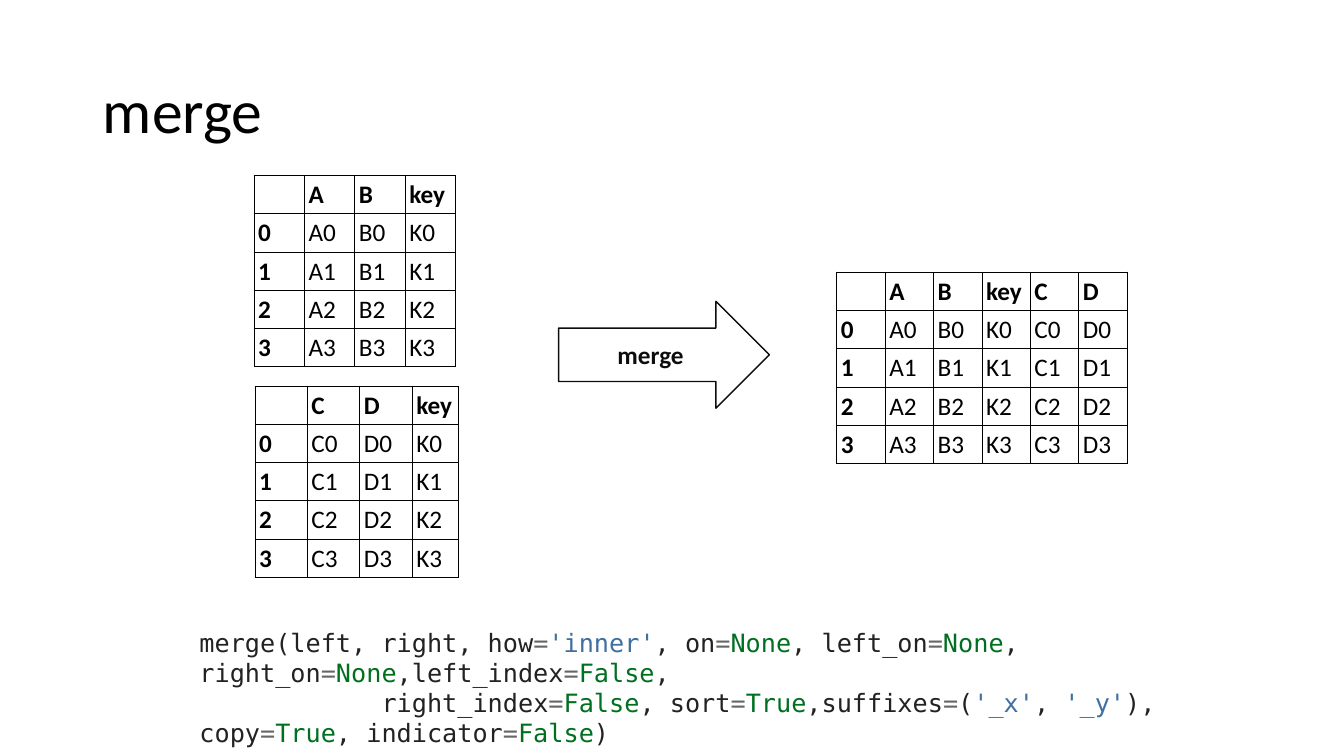
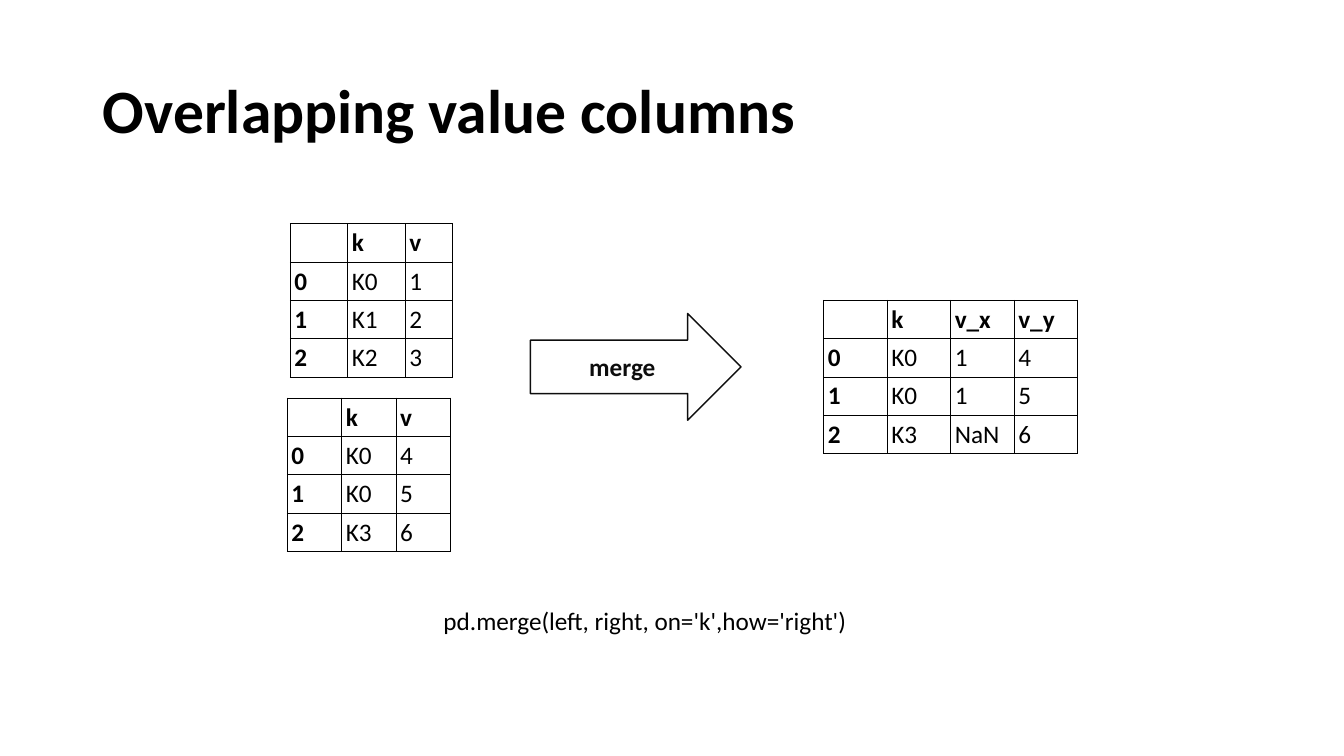
from itertools import groupby

from lxml import etree
from pptx import Presentation
from pptx.dml.color import RGBColor
from pptx.enum.shapes import MSO_SHAPE as Shape
from pptx.enum.text import MSO_ANCHOR as Anchor
from pptx.enum.text import MSO_AUTO_SIZE as AutoSize
from pptx.enum.text import PP_ALIGN as Align
from pptx.oxml.ns import qn
from pptx.util import Inches, Pt

BLACK, WHITE, INK = "000000", "FFFFFF", "0D0D0D"
CODE_PLAIN, CODE_OPERATOR = "222222", "666666"
CODE_STRING, CODE_CONSTANT = "4070A0", "007020"
TEXT_FONT, CODE_FONT = "Calibri", "DejaVu Sans Mono"
TITLE_SIZE, TEXT_SIZE = 44, 18
ROW_HEIGHT, CELL_MARGIN, BORDER_WIDTH = 0.38, 0.04, 0.75


def rgb(color):
    return RGBColor.from_string(color)


def character_class(char):
    if char == "=":
        return "operator"
    return "word" if char.isalnum() or char in "_'" else "punctuation"


def code_color(token):
    if token == "=":
        return CODE_OPERATOR
    if token.startswith("'"):
        return CODE_STRING
    return CODE_CONSTANT if token in ("None", "True", "False") else CODE_PLAIN


def colored_spans(line):
    """Yield neighbouring tokens of one colour as (text, colour)."""
    tokens = ["".join(chars) for _, chars in groupby(line, character_class)]
    for color, group in groupby(tokens, code_color):
        yield "".join(group), color


def numbered(columns):
    """Rows of values such as A0, B0, K0 under the given headings."""
    return [[f"{name[0].upper()}{row}" for name in columns] for row in range(4)]


class SlideBuilder:
    def __init__(self, deck):
        self.deck = deck
        self.slide = None

    def style(self, span, size=TEXT_SIZE, color=BLACK, bold=False, font=TEXT_FONT):
        span.font.name = font
        span.font.size = Pt(size)
        span.font.bold = bold
        span.font.color.rgb = rgb(color)

    def page(self, title, bold=False):
        self.slide = self.deck.slides.add_slide(self.deck.slide_layouts[5])
        box = self.slide.shapes.title
        box.left, box.top = Inches(0.92), Inches(0.4)
        box.width, box.height = Inches(11.5), Inches(1.45)
        frame = box.text_frame
        frame.text = title
        frame.auto_size = AutoSize.NONE
        frame.vertical_anchor = Anchor.MIDDLE
        para = frame.paragraphs[0]
        para.alignment = Align.LEFT
        para.line_spacing = 0.9
        self.style(para.runs[0], TITLE_SIZE, bold=bold)

    def text_box(self, left, top, width, height, wrap):
        box = self.slide.shapes.add_textbox(
            Inches(left), Inches(top), Inches(width), Inches(height))
        box.text_frame.word_wrap = wrap
        box.text_frame.auto_size = AutoSize.SHAPE_TO_FIT_TEXT
        return box.text_frame

    def caption(self, text, left, top, width, height):
        frame = self.text_box(left, top, width, height, wrap=False)
        frame.text = text
        self.style(frame.paragraphs[0].runs[0])

    def code(self, text, left, top, width, height):
        frame = self.text_box(left, top, width, height, wrap=True)
        frame.text = text
        for para, line in zip(frame.paragraphs, text.split("\n")):
            para.clear()
            for piece, color in colored_spans(line):
                span = para.add_run()
                span.text = piece
                self.style(span, color=color, font=CODE_FONT)

    def arrow(self, text, left, top):
        arrow = self.slide.shapes.add_shape(
            Shape.RIGHT_ARROW, Inches(left), Inches(top), Inches(2.09), Inches(1.06))
        arrow.shadow.inherit = False
        arrow.fill.solid()
        arrow.fill.fore_color.rgb = rgb(WHITE)
        arrow.line.color.rgb = rgb(INK)
        arrow.line.width = Pt(1)
        frame = arrow.text_frame
        frame.text = text
        frame.vertical_anchor = Anchor.MIDDLE
        frame.paragraphs[0].alignment = Align.CENTER
        self.style(frame.paragraphs[0].runs[0], color=INK, bold=True)

    def borders(self, cell):
        properties = cell._tc.get_or_add_tcPr()
        for side in ("lnL", "lnR", "lnT", "lnB"):
            line = etree.SubElement(
                properties, qn(f"a:{side}"), w=str(Pt(BORDER_WIDTH)))
            fill = etree.SubElement(line, qn("a:solidFill"))
            etree.SubElement(fill, qn("a:srgbClr"), val=BLACK)

    def data_frame(self, columns, rows, left, top, widths):
        """Draw a table with bold headings and a bold row index."""
        grid = [["", *columns]]
        grid += [[str(index), *row] for index, row in enumerate(rows)]
        table = self.slide.shapes.add_table(
            len(grid), len(widths), Inches(left), Inches(top),
            Inches(sum(widths)), Inches(ROW_HEIGHT * len(grid))).table
        table.first_row = table.horz_banding = False
        for column, width in zip(table.columns, widths):
            column.width = Inches(width)
        for r, values in enumerate(grid):
            table.rows[r].height = Inches(ROW_HEIGHT)
            for c, value in enumerate(values):
                self.cell(table.cell(r, c), value, bold=r == 0 or c == 0)

    def cell(self, cell, value, bold):
        cell.margin_left = cell.margin_right = Inches(CELL_MARGIN)
        cell.margin_top = cell.margin_bottom = Inches(CELL_MARGIN)
        cell.vertical_anchor = Anchor.MIDDLE
        self.borders(cell)
        cell.fill.solid()
        cell.fill.fore_color.rgb = rgb(WHITE)
        cell.text = value
        for span in cell.text_frame.paragraphs[0].runs:
            self.style(span, bold=bold)


def merge_page(builder):
    builder.page("merge")
    builder.code(
        "merge(left, right, how='inner', on=None, left_on=None, "
        "right_on=None,left_index=False,\n"
        "            right_index=False, sort=True,suffixes=('_x', '_y'), "
        "copy=True, indicator=False)",
        1.88, 6.17, 10.73, 0.71)
    builder.arrow("merge", 5.54, 2.99)
    # Two inputs and their merged result
    for columns, left, top, widths in (
        (["A", "B", "key"], 2.52, 1.74, [0.5] * 4),
        (["C", "D", "key"], 2.53, 3.83, [0.52] * 3 + [0.46]),
        (["A", "B", "key", "C", "D"], 8.3, 2.7, [0.48] * 6),
    ):
        builder.data_frame(columns, numbered(columns), left, top, widths)


def overlap_page(builder):
    builder.page("Overlapping value columns", bold=True)
    builder.arrow("merge", 5.26, 3.11)
    builder.caption("pd.merge(left, right, on='k',how='right')", 4.3, 5.96, 4.25, 0.4)
    # Two inputs and their merged result
    builder.data_frame(["k", "v"], [["K0", "1"], ["K1", "2"], ["K2", "3"]],
                       2.88, 2.22, [0.57, 0.57, 0.47])
    builder.data_frame(["k", "v"], [["K0", "4"], ["K0", "5"], ["K3", "6"]],
                       2.85, 3.95, [0.54] * 3)
    builder.data_frame(["k", "v_x", "v_y"],
                       [["K0", "1", "4"], ["K0", "1", "5"], ["K3", "NaN", "6"]],
                       8.17, 2.98, [0.63] * 4)


def main():
    deck = Presentation()
    deck.slide_width, deck.slide_height = Inches(13.33), Inches(7.5)
    builder = SlideBuilder(deck)
    merge_page(builder)
    overlap_page(builder)
    deck.save("out.pptx")


if __name__ == "__main__":
    main()
